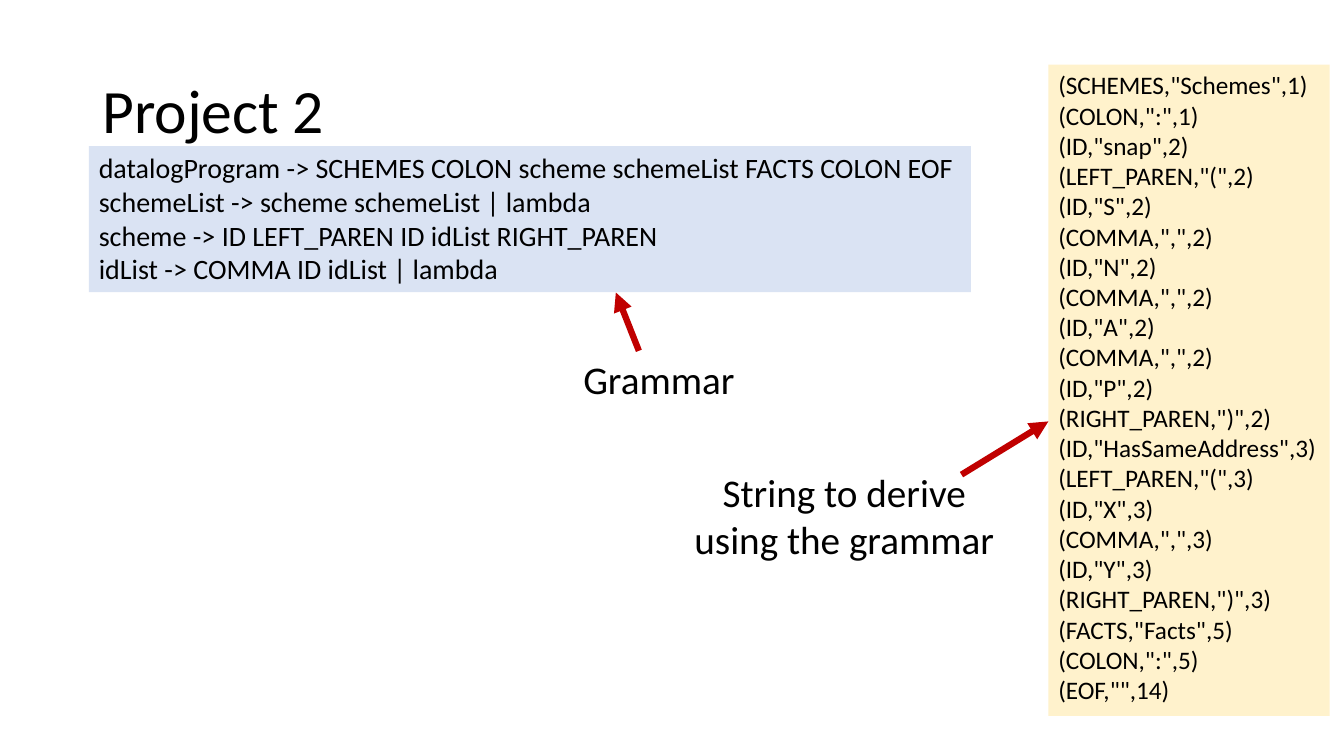
from lxml.etree import SubElement
from pptx import Presentation
from pptx.dml.color import RGBColor
from pptx.enum.shapes import MSO_CONNECTOR, MSO_SHAPE
from pptx.enum.text import MSO_ANCHOR, PP_ALIGN
from pptx.oxml.ns import qn
from pptx.util import Cm, Pt

COLORS = {"text": "000000", "grammar": "DAE3F3", "tokens": "FFF2CC", "arrow": "C00000"}
FONT = "Calibri"

TITLE = ["Project 2"]
GRAMMAR = [
    "datalogProgram -> SCHEMES COLON scheme schemeList FACTS COLON EOF",
    "schemeList -> scheme schemeList | lambda",
    "scheme -> ID LEFT_PAREN ID idList RIGHT_PAREN",
    "idList -> COMMA ID idList | lambda",
]
TOKENS = [
    ("SCHEMES", "Schemes", 1),
    ("COLON", ":", 1),
    ("ID", "snap", 2),
    ("LEFT_PAREN", "(", 2),
    ("ID", "S", 2),
    ("COMMA", ",", 2),
    ("ID", "N", 2),
    ("COMMA", ",", 2),
    ("ID", "A", 2),
    ("COMMA", ",", 2),
    ("ID", "P", 2),
    ("RIGHT_PAREN", ")", 2),
    ("ID", "HasSameAddress", 3),
    ("LEFT_PAREN", "(", 3),
    ("ID", "X", 3),
    ("COMMA", ",", 3),
    ("ID", "Y", 3),
    ("RIGHT_PAREN", ")", 3),
    ("FACTS", "Facts", 5),
    ("COLON", ":", 5),
    ("EOF", "", 14),
]
GRAMMAR_LABEL = ["Grammar"]
TOKENS_LABEL = ["String to derive", "using the grammar"]
ARROWS = [
    ((24.23, 11.96), (26.42, 10.62)),
    ((16.1, 8.84), (15.52, 7.37)),
]


def add_text(page, lines, area, size, fill=None, align=PP_ALIGN.LEFT,
             anchor=MSO_ANCHOR.TOP, spacing=1.0):
    place = [Cm(length) for length in area]
    if fill:
        box = page.shapes.add_shape(MSO_SHAPE.RECTANGLE, *place)
        box.shadow.inherit = False
        box.fill.solid()
        box.fill.fore_color.rgb = RGBColor.from_string(COLORS[fill])
        box.line.fill.background()
    else:
        box = page.shapes.add_textbox(*place)
    frame = box.text_frame
    frame.word_wrap = True
    frame.vertical_anchor = anchor
    for index, line in enumerate(lines):
        para = frame.add_paragraph() if index else frame.paragraphs[0]
        para.alignment = align
        para.line_spacing = spacing
        span = para.add_run()
        span.text = line
        span.font.name = FONT
        span.font.size = Pt(size)
        span.font.color.rgb = RGBColor.from_string(COLORS["text"])


def add_arrow(page, start, end):
    points = [Cm(length) for length in start + end]
    arrow = page.shapes.add_connector(MSO_CONNECTOR.STRAIGHT, *points)
    arrow.line.width = Pt(4.5)
    arrow.line.color.rgb = RGBColor.from_string(COLORS["arrow"])
    SubElement(arrow.line._get_or_add_ln(), qn("a:tailEnd"), type="triangle")
    SubElement(arrow._element.spPr, qn("a:effectLst"))


def main():
    deck = Presentation()
    deck.slide_width, deck.slide_height = Cm(33.87), Cm(19.05)
    page = deck.slides.add_slide(deck.slide_layouts[6])
    token_lines = [f'({kind},"{value}",{line})' for kind, value, line in TOKENS]

    add_text(page, TITLE, (2.33, 1.01, 29.21, 3.68), 44,
             anchor=MSO_ANCHOR.MIDDLE, spacing=0.9)
    add_text(page, GRAMMAR, (2.24, 3.68, 22.23, 3.68), 20, fill="grammar")
    add_text(page, token_lines, (26.42, 1.63, 7.09, 16.41), 18, fill="tokens")
    add_text(page, GRAMMAR_LABEL, (14.45, 8.84, 4.37, 1.45), 28)
    add_text(page, TOKENS_LABEL, (17.2, 11.68, 8.15, 2.64), 28, align=PP_ALIGN.CENTER)
    for start, end in ARROWS:
        add_arrow(page, start, end)
    deck.save("out.pptx")


if __name__ == "__main__":
    main()
